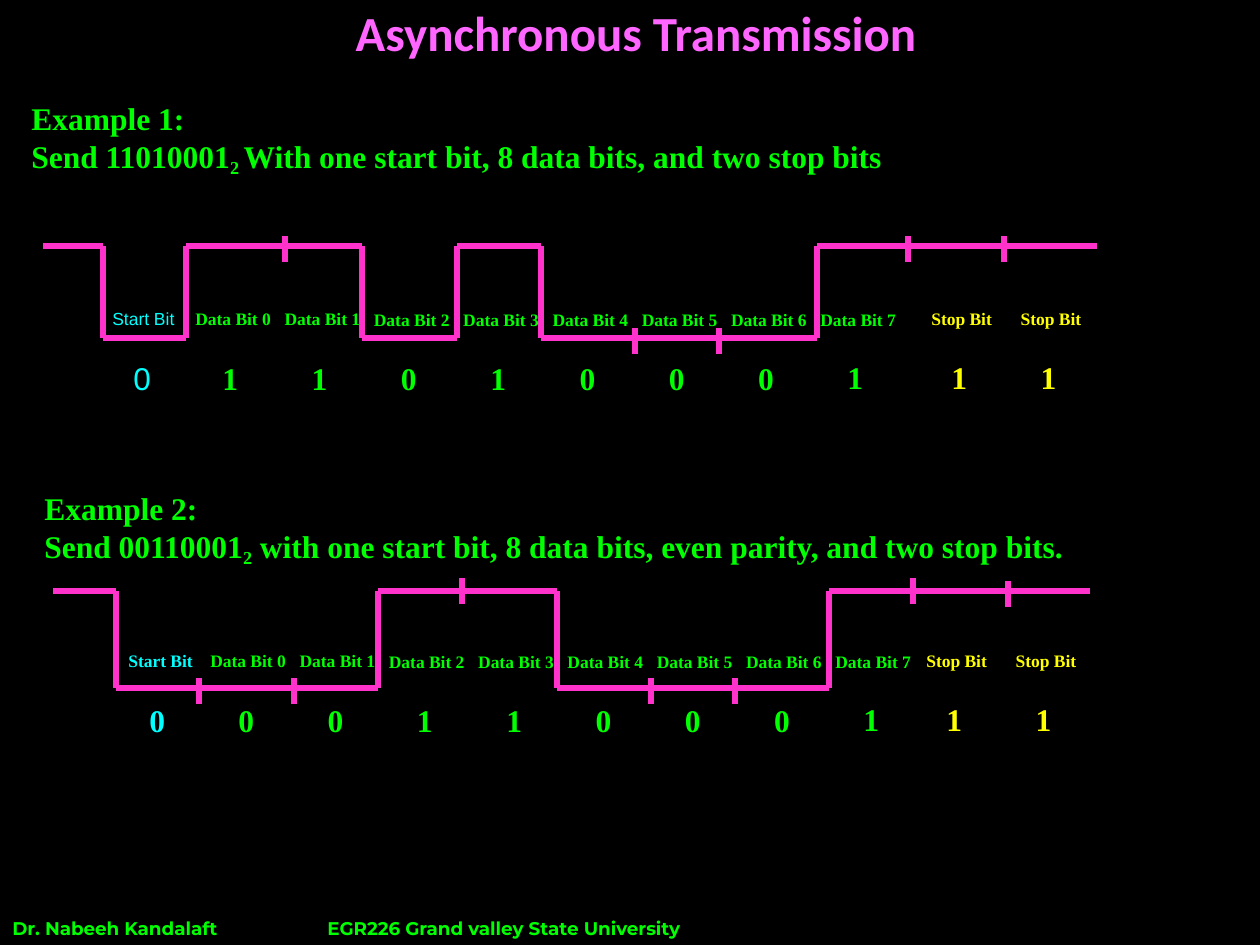
"""Build the asynchronous transmission slide with two serial frame examples."""
from lxml import etree
from pptx import Presentation, util as u
from pptx.dml.color import RGBColor
from pptx.enum import shapes, text
from pptx.oxml.ns import qn

PX = 914400 / 126
PITCH = 625 / 7
BOX_W = {"Start": 94, "Data": 102, "Stop": 87, "bit": 43}
THEME = {
    "black": "000000", "title": "FF66FF", "wave": "FF33CC",
    "Start": "00FFFF", "Data": "00FF00", "Stop": "FFFF00",
    "serif": "Times New Roman", "sans": "Arial",
    "heading": "Calibri", "footer": "Montserrat",
    "title_size": 28, "text_size": 18, "label_size": 10, "footer_size": 10.5,
    "wave_width": 3,
}
TITLE = "Asynchronous Transmission"
FOOTER = "Dr. Nabeeh Kandalaft\t\tEGR226 Grand valley State University"

EXAMPLES = [
    {
        "heading": (19, 93),
        "lines": [["Example 1:"],
                  ["Send 11010001", "2 ", "With one start bit, 8 data bits, and two stop bits"]],
        "bits": "01101000111",
        "start_style": {"name": THEME["sans"], "bold": False}, "start_w": 87,
        "label_x": {"Start": 100, "Data": 183, "Stop": 919},
        "bit_x": {"Start": 121, "Data": 210, "Stop": 939},
        "label_y": 302, "bit_y": 353,
        "levels": (246, 338), "edges": [43, 103, 186, 362, 457, 541, 817, 1097],
        "ticks": [(285, 236), (908, 236), (1004, 236), (635, 328), (719, 328)],
    },
    {
        "heading": (32, 483),
        "lines": [["Example 2:"],
                  ["Send 00110001", "2", " with one start bit, 8 data bits, even parity, and two stop bits."]],
        "bits": "00011000111",
        "start_style": {}, "start_w": 94,
        "label_x": {"Start": 116, "Data": 198, "Stop": 914},
        "bit_x": {"Start": 137, "Data": 226, "Stop": 934},
        "label_y": 644, "bit_y": 695,
        "levels": (591, 688), "edges": [53, 116, 378, 557, 829, 1090],
        "ticks": [(462, 578), (913, 578), (1008, 581),
                  (199, 678), (294, 678), (651, 678), (735, 678)],
    },
]
FIELDS = ([("Start", 0, "Start Bit")]
          + [("Data", i, f"Data Bit {i}") for i in range(8)]
          + [("Stop", i, "Stop Bit") for i in range(2)])
TICK_H = 26


def emu(*lengths):
    return [round(v * PX) for v in lengths]


def rgb(key):
    return RGBColor.from_string(THEME[key])


def style(size, name, color):
    return {"size": u.Pt(THEME[size]), "name": THEME[name], "bold": True, "color": rgb(color)}


def write(tf, lines, fmt, frame):
    for key, value in frame.items():
        setattr(tf, key, value)
    for i, runs in enumerate(lines):
        p = tf.add_paragraph() if i else tf.paragraphs[0]
        p.alignment = text.PP_ALIGN.LEFT
        for j, words in enumerate(runs):
            r = p.add_run()
            r.text = words
            for key, value in fmt.items():
                if key == "color":
                    r.font.color.rgb = value
                else:
                    setattr(r.font, key, value)
            if j == 1:
                r._r.get_or_add_rPr().set("baseline", "-20000")


def add_text(s, box, lines, fmt, **frame):
    tf = s.shapes.add_textbox(*emu(*box)).text_frame
    write(tf, lines, fmt, {"auto_size": text.MSO_AUTO_SIZE.SHAPE_TO_FIT_TEXT,
                           "word_wrap": True} | frame)
    return tf


def add_panel(s, *box):
    sp = s.shapes.add_shape(shapes.MSO_SHAPE.RECTANGLE, *emu(*box))
    sp.shadow.inherit = False
    sp.fill.solid()
    sp.fill.fore_color.rgb = rgb("black")
    sp.line.color.rgb = rgb("black")
    sp.line.width = u.Pt(1)
    return sp


def add_line(s, *ends):
    c = s.shapes.add_connector(shapes.MSO_CONNECTOR.STRAIGHT, *emu(*ends))
    c.line.color.rgb = rgb("wave")
    c.line.width = u.Pt(THEME["wave_width"])
    etree.SubElement(c._element.spPr, qn("a:effectLst"))


def add_wave(s, ex):
    edges, levels = ex["edges"], ex["levels"]
    for i, (x1, x2) in enumerate(zip(edges, edges[1:])):
        y = levels[i % 2]
        add_line(s, x1, y, x2, y)
        if i:
            add_line(s, x1, levels[0], x1, levels[1])
    for x, y in ex["ticks"]:
        add_line(s, x, y, x, y + TICK_H)


def add_fields(s, ex):
    for n, ((kind, i, label), bit) in enumerate(zip(FIELDS, ex["bits"])):
        extra = ex["start_style"] if kind == "Start" else {}
        width = ex["start_w"] if kind == "Start" else BOX_W[kind]
        label_y = ex["label_y"] + (kind == "Data" and i > 1)
        bit_y = ex["bit_y"] - (n > 7)
        for words, x, y, w, h, size in (
                (label, ex["label_x"][kind], label_y, width, 34, "label_size"),
                (bit, ex["bit_x"][kind], bit_y, BOX_W["bit"], 50, "text_size")):
            add_text(s, (x + i * PITCH, y, w, h), [[words]],
                     style(size, "serif", kind) | extra, word_wrap=False)


def main():
    prs = Presentation()
    prs.slide_width, prs.slide_height = emu(1260, 945)
    s = prs.slides.add_slide(prs.slide_layouts[6])
    add_panel(s, 0, 0, 1260, 911)
    tf = add_text(s, (69, 9, 1134, 45), [[TITLE]], style("title_size", "heading", "title"),
                  auto_size=text.MSO_AUTO_SIZE.NONE, vertical_anchor=text.MSO_ANCHOR.MIDDLE)
    tf.paragraphs[0].alignment = text.PP_ALIGN.CENTER
    for ex in EXAMPLES:
        add_text(s, (*ex["heading"], 1144, 89), ex["lines"], style("text_size", "serif", "Data"))
        add_fields(s, ex)
        add_wave(s, ex)
    footer = add_panel(s, 0, 911, 1260, 35)
    footer.line.fill.background()
    write(footer.text_frame, [[FOOTER]], style("footer_size", "footer", "Data"),
          {"vertical_anchor": text.MSO_ANCHOR.TOP, "word_wrap": True})
    prs.save("out.pptx")


if __name__ == "__main__":
    main()
